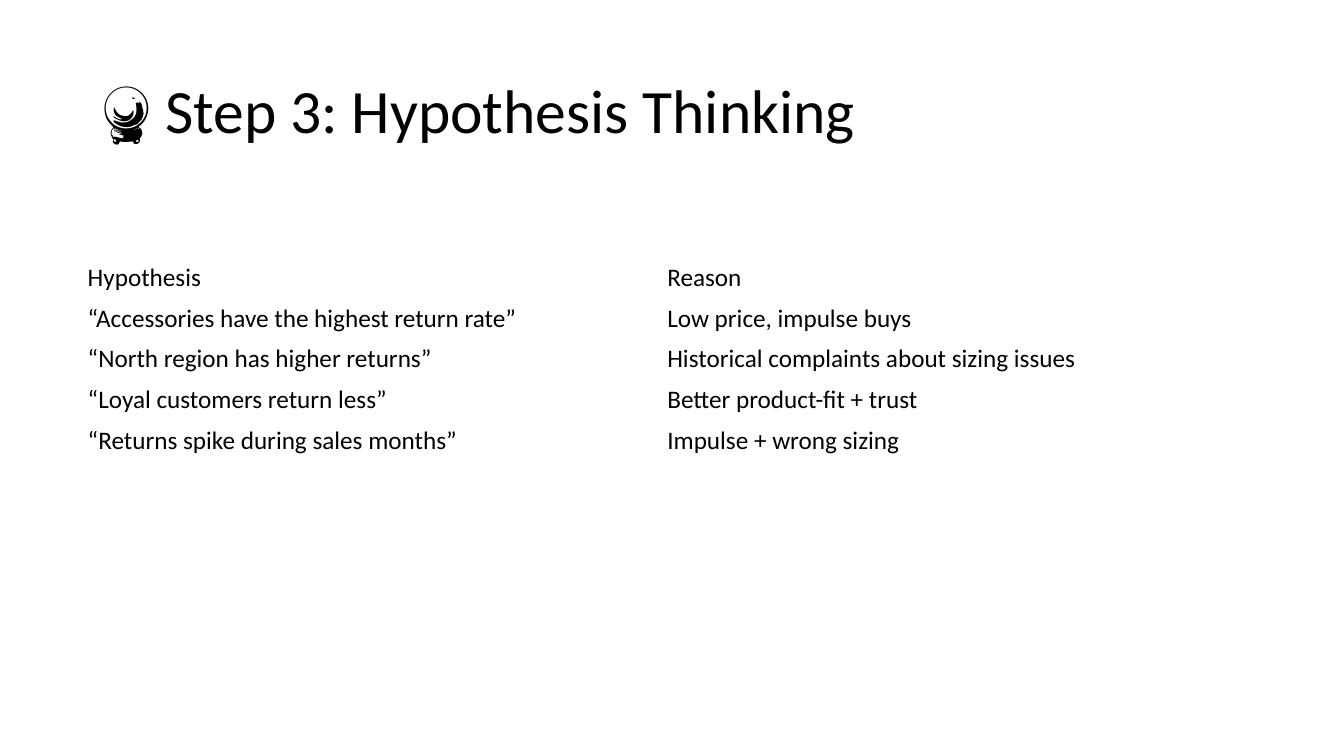
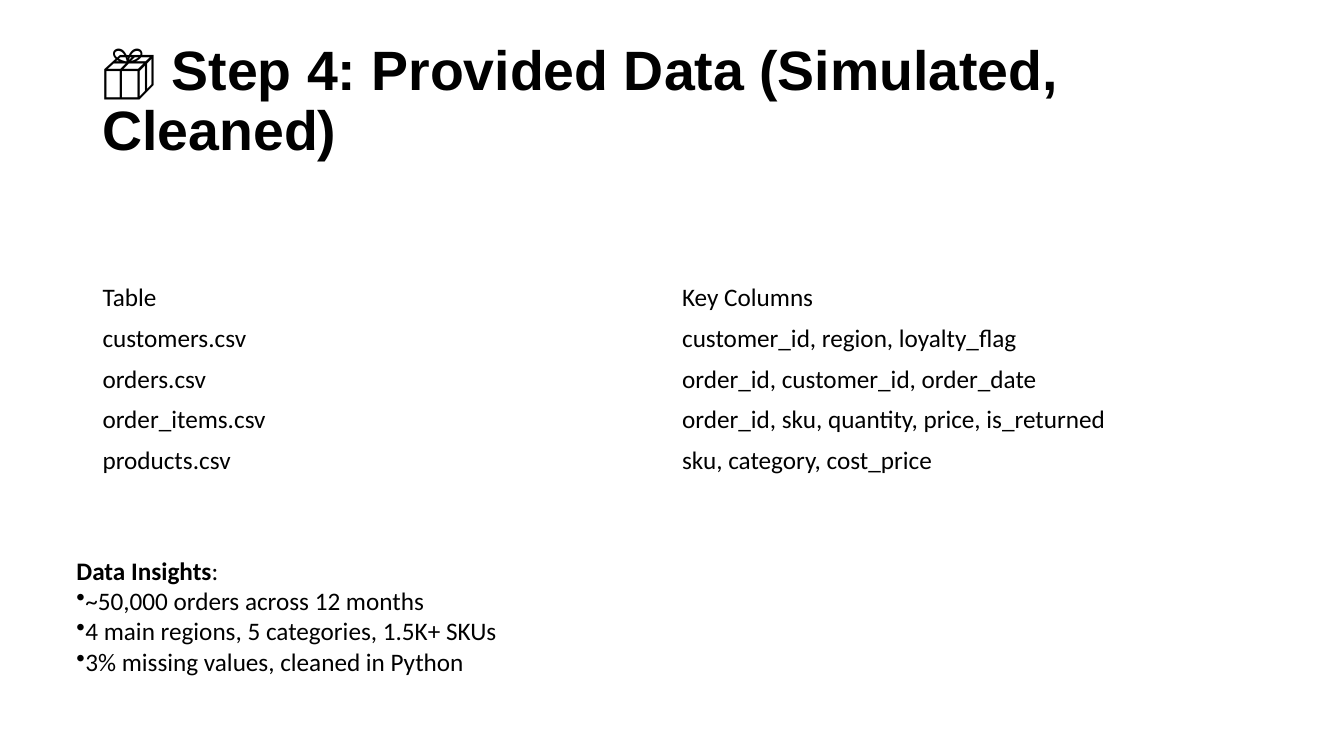
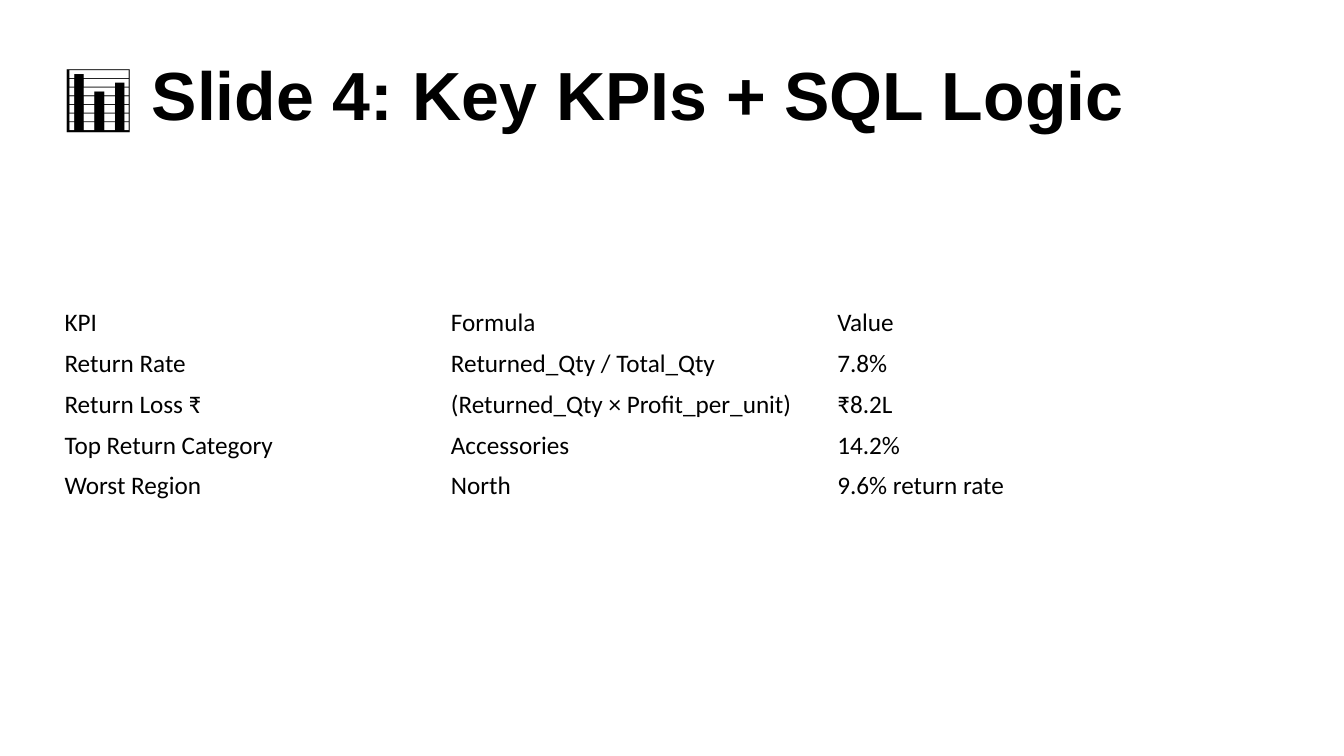
from dataclasses import dataclass

from lxml.etree import SubElement
from pptx import Presentation
from pptx.dml.color import RGBColor
from pptx.enum.text import MSO_ANCHOR as Anchor, MSO_AUTO_SIZE as AutoSize, PP_ALIGN as Align
from pptx.oxml.ns import qn
from pptx.util import Inches, Pt

# Shared style
COLORS = {"text": "000000", "page": "FFFFFF"}
BODY_FONT, BODY_SIZE = "Calibri", 18
TITLE_ONLY = 5
SLIDE_WIDTH, SLIDE_HEIGHT = Inches(13.333), Inches(7.5)
CONTENT_WIDTH, TITLE_HEIGHT, TABLE_HEIGHT = 86.25, 19.33, 26.67
TITLE_INSET, TITLE_LIFT = 0.67, 7.87


def across(share):
    return round(SLIDE_WIDTH * share / 100)


def down(share):
    return round(SLIDE_HEIGHT * share / 100)


@dataclass
class Box:
    """A region, in percent of the slide's width and height."""
    left: float
    top: float
    width: float
    height: float

    def place(self):
        return across(self.left), down(self.top), across(self.width), down(self.height)


@dataclass
class TitleStyle:
    font: str
    size: float
    bold: bool = False
    spacing: float = 0.9
    lift: float = 0


def style(para, font=BODY_FONT, size=BODY_SIZE, bold=False):
    para.alignment = Align.LEFT
    para.font.name = font
    para.font.size = Pt(size)
    para.font.bold = bold
    para.font.color.rgb = RGBColor.from_string(COLORS["text"])


def add_title(page, box, text, look):
    title = page.shapes.title
    title.left, title.top, title.width, title.height = box.place()
    frame = title.text_frame
    frame.text = text
    frame.word_wrap = True
    frame.auto_size = AutoSize.NONE
    frame.vertical_anchor = Anchor.MIDDLE
    frame.margin_top = down(TITLE_INSET)
    frame.margin_bottom = down(TITLE_INSET + look.lift)
    para = frame.paragraphs[0]
    para.line_spacing = look.spacing
    style(para, look.font, look.size, look.bold)


def add_plain_table(page, box, rows):
    left, top, width, height = box.place()
    table = page.shapes.add_table(len(rows), len(rows[0]), left, top, width, height).table
    table.first_row = table.horz_banding = False
    for row, texts in enumerate(rows):
        for column, text in enumerate(texts):
            cell = table.cell(row, column)
            cell.text = text
            cell.fill.background()
            cell.vertical_anchor = Anchor.MIDDLE
            style(cell.text_frame.paragraphs[0])


def add_bullet(para):
    props = para._p.get_or_add_pPr()
    props.set("marL", "0")
    props.set("indent", "0")
    bullet = SubElement(props, qn("a:buChar"))
    bullet.set("char", "•")


def add_insights(page, box, heading, points):
    frame = page.shapes.add_textbox(*box.place()).text_frame
    frame.word_wrap = True
    frame.auto_size = AutoSize.SHAPE_TO_FIT_TEXT
    para = frame.paragraphs[0]
    for text, bold in ((heading, True), (":", False)):
        span = para.add_run()
        span.text = text
        span.font.bold = bold
    style(para)
    for point in points:
        para = frame.add_paragraph()
        para.text = point
        add_bullet(para)
        style(para)


def add_table_page(deck, title, look, title_corner, table_corner, rows):
    page = deck.slides.add_slide(deck.slide_layouts[TITLE_ONLY])
    page.background.fill.solid()
    page.background.fill.fore_color.rgb = RGBColor.from_string(COLORS["page"])
    add_title(page, Box(*title_corner, CONTENT_WIDTH, TITLE_HEIGHT), title, look)
    add_plain_table(page, Box(*table_corner, CONTENT_WIDTH, TABLE_HEIGHT), rows)
    return page


def main():
    deck = Presentation()
    deck.slide_width, deck.slide_height = SLIDE_WIDTH, SLIDE_HEIGHT

    # Hypotheses
    add_table_page(
        deck, "🔮 Step 3: Hypothesis Thinking", TitleStyle("Calibri", 44),
        (6.88, 5.33), (5.78, 34), [
            ("Hypothesis", "Reason"),
            ("“Accessories have the highest return rate”", "Low price, impulse buys"),
            ("“North region has higher returns”", "Historical complaints about sizing issues"),
            ("“Loyal customers return less”", "Better product-fit + trust"),
            ("“Returns spike during sales months”", "Impulse + wrong sizing"),
        ])

    # Provided data
    page = add_table_page(
        deck, "📦 Step 4: Provided Data (Simulated, Cleaned)",
        TitleStyle("Arial", 39.6, bold=True, lift=TITLE_LIFT),
        (6.88, 7.87), (6.88, 36.67), [
            ("Table", "Key Columns"),
            ("customers.csv", "customer_id, region, loyalty_flag"),
            ("orders.csv", "order_id, customer_id, order_date"),
            ("order_items.csv", "order_id, sku, quantity, price, is_returned"),
            ("products.csv", "sku, category, cost_price"),
        ])
    add_insights(page, Box(4.95, 72.8, 50, 17.47), "Data Insights", [
        "~50,000 orders across 12 months",
        "4 main regions, 5 categories, 1.5K+ SKUs",
        "3% missing values, cleaned in Python",
    ])

    # Key figures
    add_table_page(
        deck, "📊 Slide 4: Key KPIs + SQL Logic",
        TitleStyle("Arial", 48.6, bold=True, spacing=1.0, lift=TITLE_LIFT),
        (4.05, 6.67), (4.05, 40), [
            ("KPI", "Formula", "Value"),
            ("Return Rate", "Returned_Qty / Total_Qty", "7.8%"),
            ("Return Loss ₹", "(Returned_Qty × Profit_per_unit)", "₹8.2L"),
            ("Top Return Category", "Accessories", "14.2%"),
            ("Worst Region", "North", "9.6% return rate"),
        ])

    deck.save("out.pptx")


if __name__ == "__main__":
    main()
